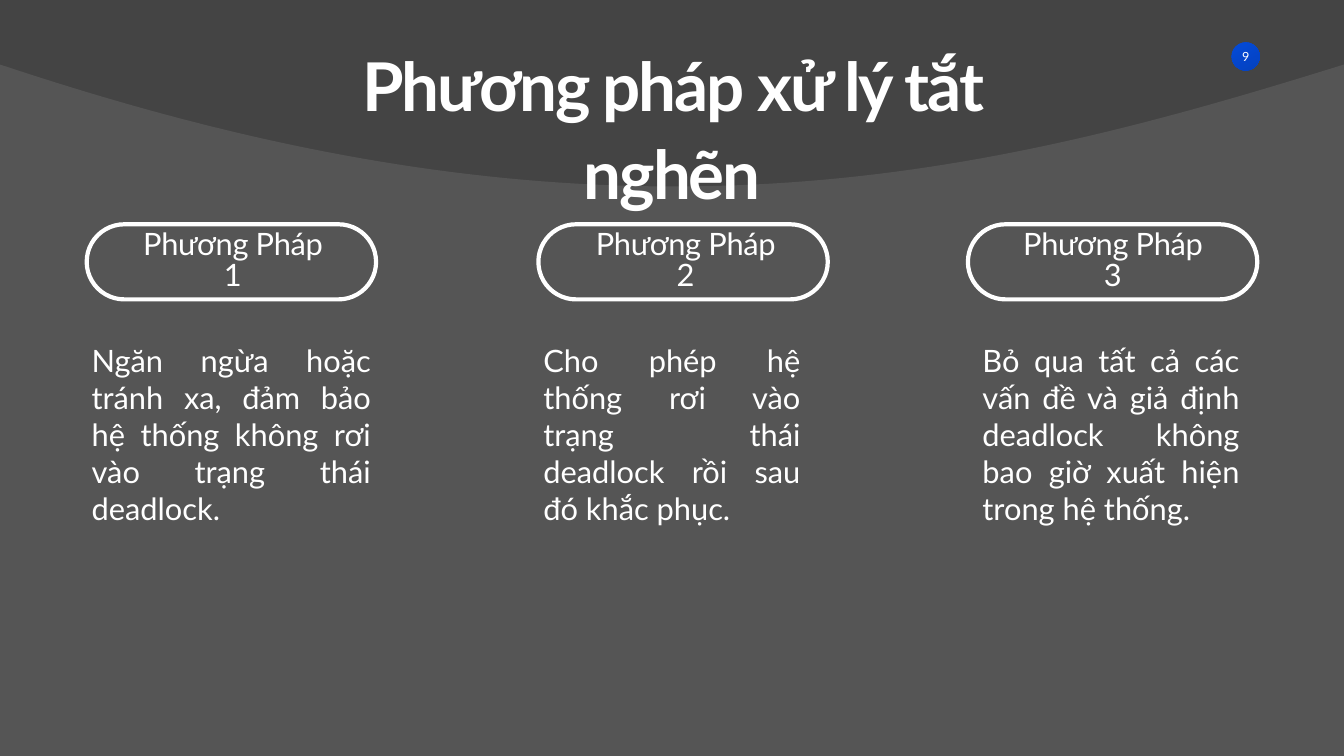
from dataclasses import dataclass

from pptx import Presentation
from pptx.dml.color import RGBColor
from pptx.enum.shapes import MSO_SHAPE as Preset
from pptx.enum.text import MSO_ANCHOR as Anchor, MSO_AUTO_SIZE as AutoSize, PP_ALIGN as Align
from pptx.shapes.autoshape import Shape
from pptx.slide import Slide
from pptx.text.text import TextFrame
from pptx.util import Pt

WIDTH, HEIGHT = 1919.52, 1080
WHITE = RGBColor(0xFF, 0xFF, 0xFF)
DARK_GRAY = RGBColor(0x44, 0x44, 0x44)
MID_GRAY = RGBColor(0x55, 0x55, 0x55)
BADGE_BLUES = (RGBColor(0x04, 0x4B, 0xD9), RGBColor(0x04, 0x41, 0xBF))
FONT = "Lato"

PILL_TOP, PILL_WIDTH, PILL_HEIGHT = 320.4, 413.28, 107.28
LABEL_TOP, LABEL_HEIGHT = 347.76, 52.56
BODY_TOP, BODY_HEIGHT = 485.28, 220.32

Point = tuple[float, float]


@dataclass(frozen=True)
class Method:
    label: str
    description: str
    pill_left: float
    label_left: float
    label_width: float
    body_left: float
    body_width: float


METHODS = (
    Method("Phương Pháp 1",
           "Ngăn ngừa hoặc tránh xa, đảm bảo hệ thống không rơi vào trạng thái deadlock.",
           123.84, 180.72, 303.84, 123.84, 413.28),
    Method("Phương Pháp 2",
           "Cho phép hệ thống rơi vào trạng thái deadlock rồi sau đó khắc phục.",
           768.96, 832.32, 293.76, 768.96, 381.6),
    Method("Phương Pháp 3",
           "Bỏ qua tất cả các vấn đề và giả định deadlock không bao giờ xuất hiện trong hệ thống.",
           1382.4, 1438.56, 301.68, 1396.08, 381.6),
)


def write(frame: TextFrame, text: str, size: float, align: Align, *,
          anchor: Anchor = Anchor.TOP, line_height: float | None = None,
          space_after: float = 0, tracking: float = 0, bold: bool = False) -> None:
    """Fill a text frame with one white paragraph; tracking is in points."""
    frame.word_wrap = True
    frame.auto_size = AutoSize.NONE
    frame.vertical_anchor = anchor
    paragraph = frame.paragraphs[0]
    paragraph.alignment = align
    paragraph.space_after = Pt(space_after)
    if line_height:
        paragraph.line_spacing = Pt(line_height)
    run = paragraph.add_run()
    run.text = text
    run.font.name = FONT
    run.font.size = Pt(size)
    run.font.bold = bold
    run.font.color.rgb = WHITE
    if tracking:
        run.font._element.set("spc", str(round(tracking * 100)))


def add_text_frame(slide: Slide, left: float, top: float, width: float, height: float) -> TextFrame:
    return slide.shapes.add_textbox(Pt(left), Pt(top), Pt(width), Pt(height)).text_frame


def add_preset(slide: Slide, preset: Preset, left: float, top: float,
               width: float, height: float) -> Shape:
    shape = slide.shapes.add_shape(preset, Pt(left), Pt(top), Pt(width), Pt(height))
    shape.shadow.inherit = False
    return shape


def bezier(start: Point, control_1: Point, control_2: Point, end: Point,
           steps: int = 40) -> list[Point]:
    """Points along a cubic curve, leaving out its start."""
    points = []
    for step in range(1, steps + 1):
        t = step / steps
        weights = ((1 - t) ** 3, 3 * t * (1 - t) ** 2, 3 * t * t * (1 - t), t ** 3)
        corners = (start, control_1, control_2, end)
        points.append((sum(w * c[0] for w, c in zip(weights, corners)),
                       sum(w * c[1] for w, c in zip(weights, corners))))
    return points


def add_curved_panel(slide: Slide) -> None:
    edge, dip = 92.16, 266.4
    left, middle, right = (0, edge), (962.64, dip), (WIDTH, edge)
    outline = bezier(left, (266.4, 180.72), (594.72, dip), middle)
    outline += bezier(middle, (1330.56, dip), (1635.12, 180.72), right)
    outline += [(WIDTH, HEIGHT), (0, HEIGHT)]
    builder = slide.shapes.build_freeform(Pt(left[0]), Pt(left[1]))
    builder.add_line_segments([(Pt(x), Pt(y)) for x, y in outline], close=True)
    panel = builder.convert_to_shape()
    panel.shadow.inherit = False
    panel.fill.solid()
    panel.fill.fore_color.rgb = MID_GRAY
    panel.line.fill.background()


def add_page_badge(slide: Slide, number: str) -> None:
    badge = add_preset(slide, Preset.OVAL, 1758.96, 60.48, 40.32, 40.32)
    badge.fill.gradient()
    badge.fill.gradient_angle = 300
    for stop, color in zip(badge.fill.gradient_stops, BADGE_BLUES):
        stop.color.rgb = color
    badge.line.fill.background()
    frame = badge.text_frame
    frame.margin_left = frame.margin_right = frame.margin_top = frame.margin_bottom = 0
    write(frame, number, 18, Align.CENTER, anchor=Anchor.MIDDLE, tracking=-1)


def add_title(slide: Slide, text: str) -> None:
    title = slide.shapes.title
    title.left, title.top, title.width, title.height = Pt(403.92), Pt(50.4), Pt(1112.4), Pt(257.2)
    write(title.text_frame, text, 96, Align.CENTER, line_height=125, tracking=-3, bold=True)


def add_method(slide: Slide, method: Method) -> None:
    pill = add_preset(slide, Preset.ROUNDED_RECTANGLE, method.pill_left, PILL_TOP,
                      PILL_WIDTH, PILL_HEIGHT)
    pill.adjustments[0] = 0.5
    pill.fill.background()
    pill.line.color.rgb = WHITE
    pill.line.width = Pt(6)
    label = add_text_frame(slide, method.label_left, LABEL_TOP, method.label_width, LABEL_HEIGHT)
    write(label, method.label, 44, Align.CENTER, anchor=Anchor.MIDDLE,
          line_height=44, tracking=-0.5)
    body = add_text_frame(slide, method.body_left, BODY_TOP, method.body_width, BODY_HEIGHT)
    write(body, method.description, 44, Align.JUSTIFY, space_after=12)


def main() -> None:
    presentation = Presentation()
    presentation.slide_width, presentation.slide_height = Pt(WIDTH), Pt(HEIGHT)
    title_only = presentation.slide_layouts[5]
    slide = presentation.slides.add_slide(title_only)
    slide.background.fill.solid()
    slide.background.fill.fore_color.rgb = DARK_GRAY

    add_curved_panel(slide)
    add_page_badge(slide, "9")
    add_title(slide, "Phương pháp xử lý tắt nghẽn")
    # The title placeholder exists from the start; bring it in front of the panel.
    slide.shapes._spTree.append(slide.shapes.title._element)
    for method in METHODS:
        add_method(slide, method)
    presentation.save("out.pptx")


if __name__ == "__main__":
    main()
